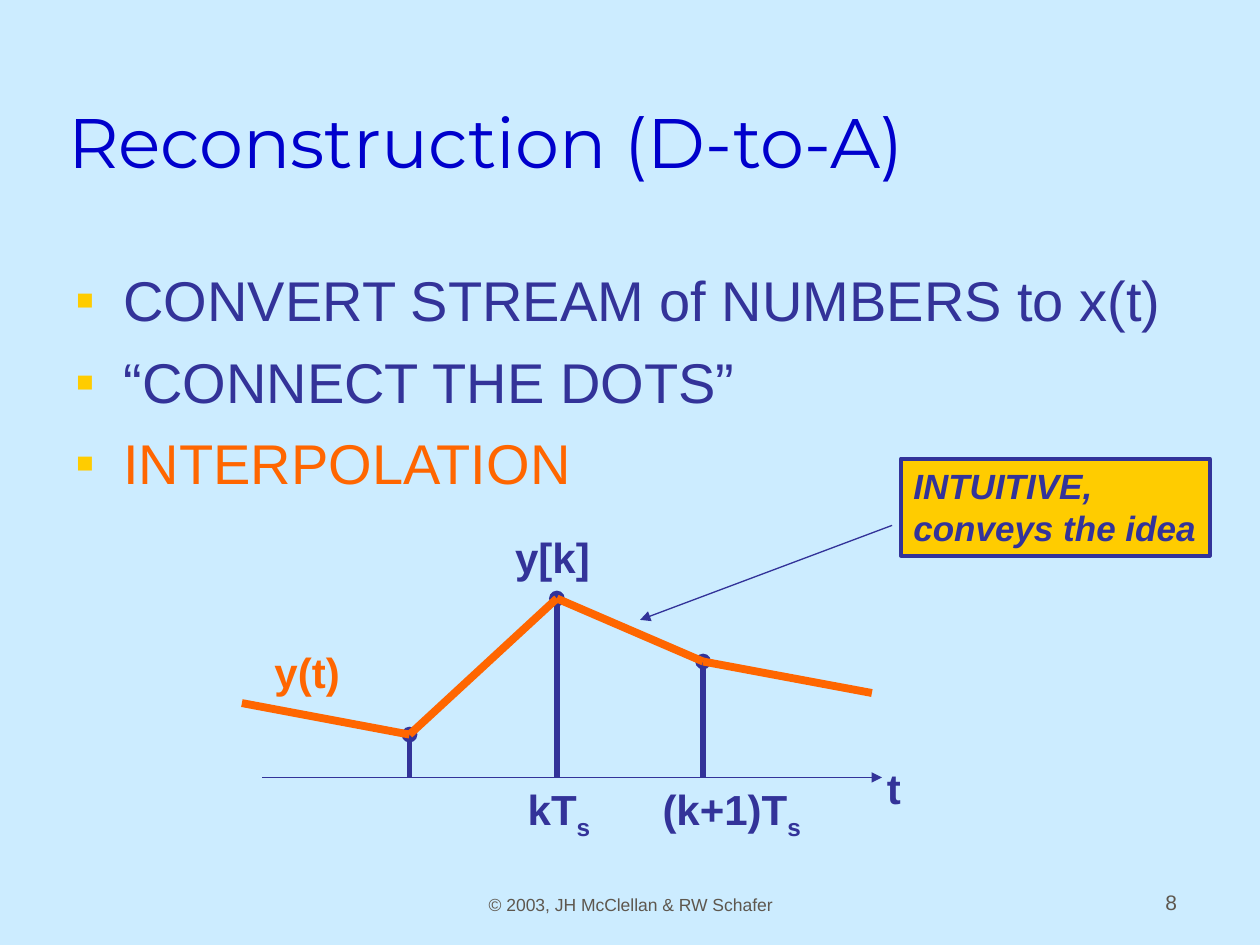
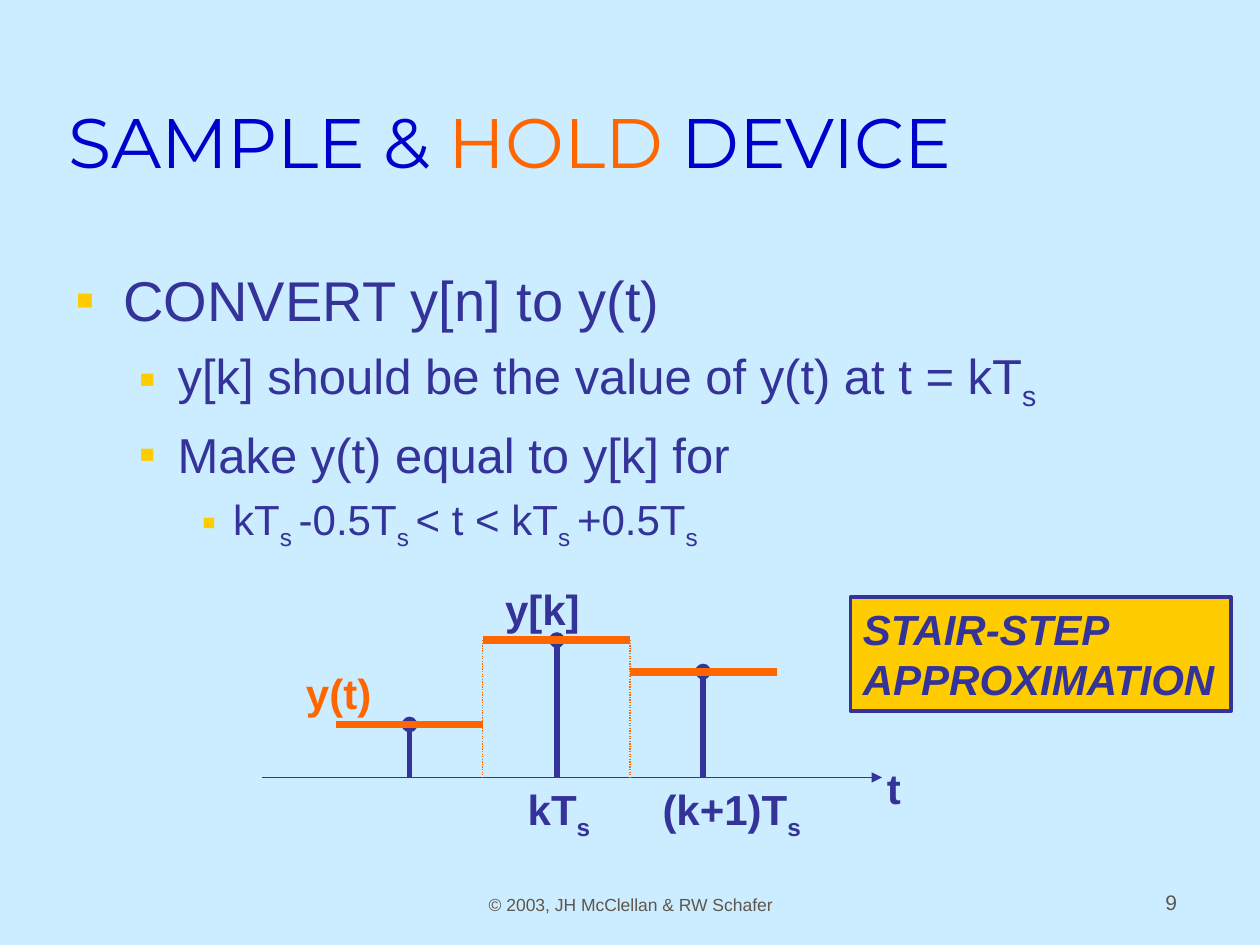
from itertools import pairwise

from lxml import etree
from pptx import Presentation
from pptx.dml.color import RGBColor
from pptx.enum import dml, shapes, text
from pptx.oxml import ns
from pptx.util import Inches, Pt

SKY = RGBColor(0xCC, 0xEC, 0xFF)
BLUE = RGBColor(0x00, 0x00, 0xCC)
INDIGO = RGBColor(0x33, 0x33, 0x99)
ORANGE = RGBColor(0xFF, 0x66, 0x00)
GOLD = RGBColor(0xFF, 0xCC, 0x00)
GRAY = RGBColor(0x5E, 0x57, 0x4E)

SAMPLE_X = [3.25, 4.42, 5.58]
HOLD_EDGES = [2.67, 3.83, 5, 6.17]
AXIS_Y = 6.17
COPYRIGHT = "© 2003, JH McClellan & RW Schafer"
LEVELS = [(0.38, -0.38, 8, 32), (0.81, -0.31, 7, 28), (1.25, -0.25, 6, 24)]


def add_child(parent, tag, **attributes):
    return etree.SubElement(parent, ns.qn(tag), attributes)


def place(shape, left, top, width, height):
    shape.left, shape.top = Inches(left), Inches(top)
    shape.width, shape.height = Inches(width), Inches(height)


def set_font(font, size, color, name="Arial", bold=False, italic=False):
    font.name, font.size = name, Pt(size)
    font.bold, font.italic = bold, italic
    font.color.rgb = color


def add_subscripted(paragraph, content):
    for index, piece in enumerate(content.split("|")):
        run = paragraph.add_run()
        run.text = piece
        if index % 2:
            run._r.get_or_add_rPr().set("baseline", "-25000")


def add_title(slide, content):
    title = slide.shapes.title
    place(title, 0.44, 0.25, 8.5, 1.25)
    title.text_frame.vertical_anchor = text.MSO_ANCHOR.BOTTOM
    title.text_frame.auto_size = text.MSO_AUTO_SIZE.NONE
    paragraph = title.text_frame.paragraphs[0]
    paragraph.alignment = text.PP_ALIGN.LEFT
    for index, piece in enumerate(content.split("|")):
        run = paragraph.add_run()
        run.text = piece
        if index % 2:
            run.font.color.rgb = ORANGE
    set_font(paragraph.font, 40, BLUE, "Montserrat")


def add_bullets(slide, items):
    body = slide.placeholders[1]
    place(body, 0.5, 2.06, 8.94, 4.56)
    frame = body.text_frame
    frame.auto_size = text.MSO_AUTO_SIZE.NONE
    for index, (level, content, color) in enumerate(items):
        paragraph = frame.add_paragraph() if index else frame.paragraphs[0]
        margin, indent, space, size = LEVELS[level]
        paragraph.level = level
        paragraph.space_before = Pt(space if index else 0)
        properties = paragraph._p.get_or_add_pPr()
        properties.set("marL", str(Inches(margin)))
        properties.set("indent", str(Inches(indent)))
        bullet_color = add_child(properties, "a:buClr")
        add_child(bullet_color, "a:srgbClr", val=str(GOLD))
        add_child(properties, "a:buFont", typeface="Arial")
        add_child(properties, "a:buChar", char="▪")
        add_subscripted(paragraph, content)
        set_font(paragraph.font, size, color)


def add_footer_text(slide, content, left, width, size, alignment):
    box = slide.shapes.add_textbox(
        Inches(left), Inches(6.81), Inches(width), Inches(0.5))
    frame = box.text_frame
    frame.word_wrap = True
    frame.vertical_anchor = text.MSO_ANCHOR.BOTTOM
    paragraph = frame.paragraphs[0]
    paragraph.text = content
    paragraph.alignment = alignment
    set_font(paragraph.font, size, GRAY)


def add_line(slide, start, end, color, width, tail=None, dash=None):
    line = slide.shapes.add_connector(
        shapes.MSO_CONNECTOR.STRAIGHT, *map(Inches, start + end))
    line.line.color.rgb = color
    line.line.width = Pt(width)
    if dash:
        line.line.dash_style = dash
    if tail:
        add_child(line.line._get_or_add_ln(), "a:tailEnd", type=tail)
    add_child(line._element.spPr, "a:effectLst")


def add_label(slide, content, left, top, width, height=0.5, color=INDIGO):
    label = slide.shapes.add_textbox(
        Inches(left), Inches(top), Inches(width), Inches(height))
    label.text_frame.word_wrap = False
    label.text_frame.auto_size = text.MSO_AUTO_SIZE.SHAPE_TO_FIT_TEXT
    paragraph = label.text_frame.paragraphs[0]
    add_subscripted(paragraph, content)
    set_font(paragraph.font, 24, color, bold=True)


def add_callout(slide, lines, left, top, width, height, size):
    callout = slide.shapes.add_shape(
        shapes.MSO_SHAPE.RECTANGLE,
        Inches(left), Inches(top), Inches(width), Inches(height))
    callout.shadow.inherit = False
    callout.fill.solid()
    callout.fill.fore_color.rgb = GOLD
    callout.line.color.rgb = INDIGO
    callout.line.width = Pt(2.25)
    frame = callout.text_frame
    frame.word_wrap = False
    frame.auto_size = text.MSO_AUTO_SIZE.SHAPE_TO_FIT_TEXT
    frame.vertical_anchor = text.MSO_ANCHOR.TOP
    frame.text = "\n".join(lines)
    for paragraph in frame.paragraphs:
        paragraph.alignment = text.PP_ALIGN.LEFT
        set_font(paragraph.font, size, INDIGO, bold=True, italic=True)


def add_samples(slide, heights):
    add_line(slide, (2.08, AXIS_Y), (7, AXIS_Y), INDIGO, 0.75, "triangle")
    for x, y in zip(SAMPLE_X, heights):
        add_line(slide, (x, AXIS_Y), (x, y), INDIGO, 3, "oval")
    add_label(slide, "kT|s", 4.09, AXIS_Y, 0.73, 0.56)
    add_label(slide, "(k+1)T|s", 5.16, AXIS_Y, 1.32, 0.56)
    add_label(slide, "t", 6.94, 6, 0.31)


def add_base_slide(prs, title, number, bullets):
    slide = prs.slides.add_slide(prs.slide_layouts[1])
    add_footer_text(slide, COPYRIGHT, 3.42, 3.17, 10, text.PP_ALIGN.CENTER)
    add_footer_text(slide, str(number), 7.36, 2.08, 12, text.PP_ALIGN.RIGHT)
    add_title(slide, title)
    add_bullets(slide, bullets)
    return slide


def build_reconstruction(prs):
    slide = add_base_slide(prs, "Reconstruction (D-to-A)", 8, [
        (0, "CONVERT STREAM of NUMBERS to x(t)", INDIGO),
        (0, "“CONNECT THE DOTS”", INDIGO),
        (0, "INTERPOLATION", ORANGE),
    ])
    heights = [5.83, 4.75, 5.25]
    add_samples(slide, heights)
    signal = [(1.92, 5.58), *zip(SAMPLE_X, heights), (6.92, 5.5)]
    for start, end in pairwise(signal):
        add_line(slide, start, end, ORANGE, 4.5)
    add_label(slide, "y(t)", 2.08, 5.08, 0.72, color=ORANGE)
    add_label(slide, "y[k]", 3.99, 4.17, 0.79)
    add_callout(slide, ["INTUITIVE,", "conveys the idea"],
                7.15, 3.64, 2.45, 0.77, 20)
    add_line(slide, (7.08, 4.17), (5.08, 4.92), INDIGO, 0.75, "triangle")


def build_sample_and_hold(prs):
    slide = add_base_slide(prs, "SAMPLE & |HOLD| DEVICE", 9, [
        (0, "CONVERT y[n] to y(t)", INDIGO),
        (1, "y[k] should be the value of y(t) at t = kT|s", INDIGO),
        (1, "Make y(t) equal to y[k] for", INDIGO),
        (2, "kT|s |-0.5T|s |< t < kT|s |+0.5T|s", INDIGO),
    ])
    heights = [5.75, 5.08, 5.33]
    add_samples(slide, heights)
    for (left, right), y in zip(pairwise(HOLD_EDGES), heights):
        add_line(slide, (left, y), (right, y), ORANGE, 4.5)
    for x in HOLD_EDGES[1:-1]:
        add_line(slide, (x, min(heights)), (x, AXIS_Y), ORANGE, 0.75,
                 dash=dml.MSO_LINE.ROUND_DOT)
    add_label(slide, "y(t)", 2.33, 5.25, 0.72, color=ORANGE)
    add_label(slide, "y[k]", 3.91, 4.58, 0.79)
    add_callout(slide, ["STAIR-STEP", "APPROXIMATION"],
                6.75, 4.74, 3.02, 0.9, 24)


def main():
    prs = Presentation()
    prs.slide_width, prs.slide_height = Inches(10), Inches(7.5)
    background = prs.slide_master.background.fill
    background.solid()
    background.fore_color.rgb = SKY
    build_reconstruction(prs)
    build_sample_and_hold(prs)
    prs.save("out.pptx")


if __name__ == "__main__":
    main()
